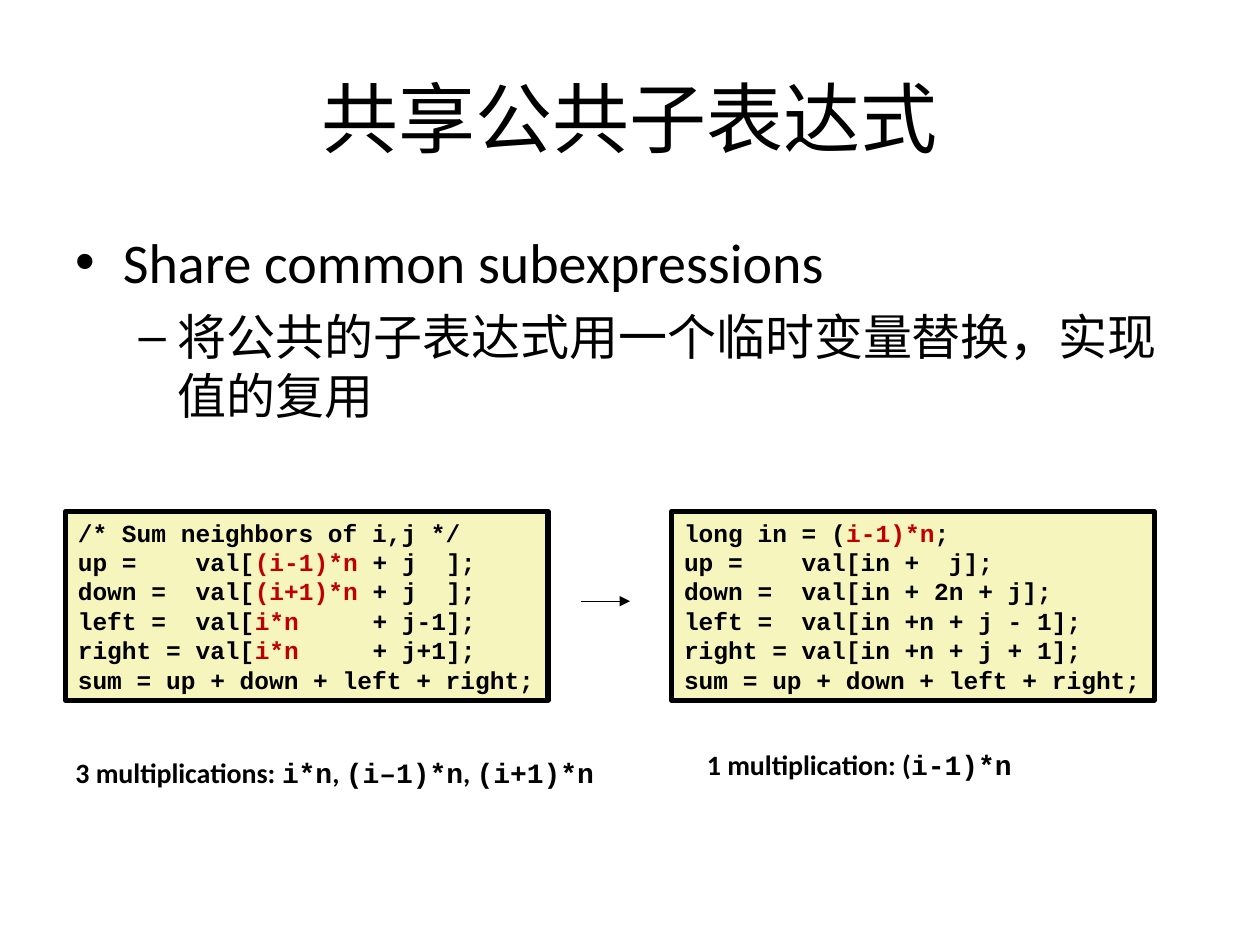
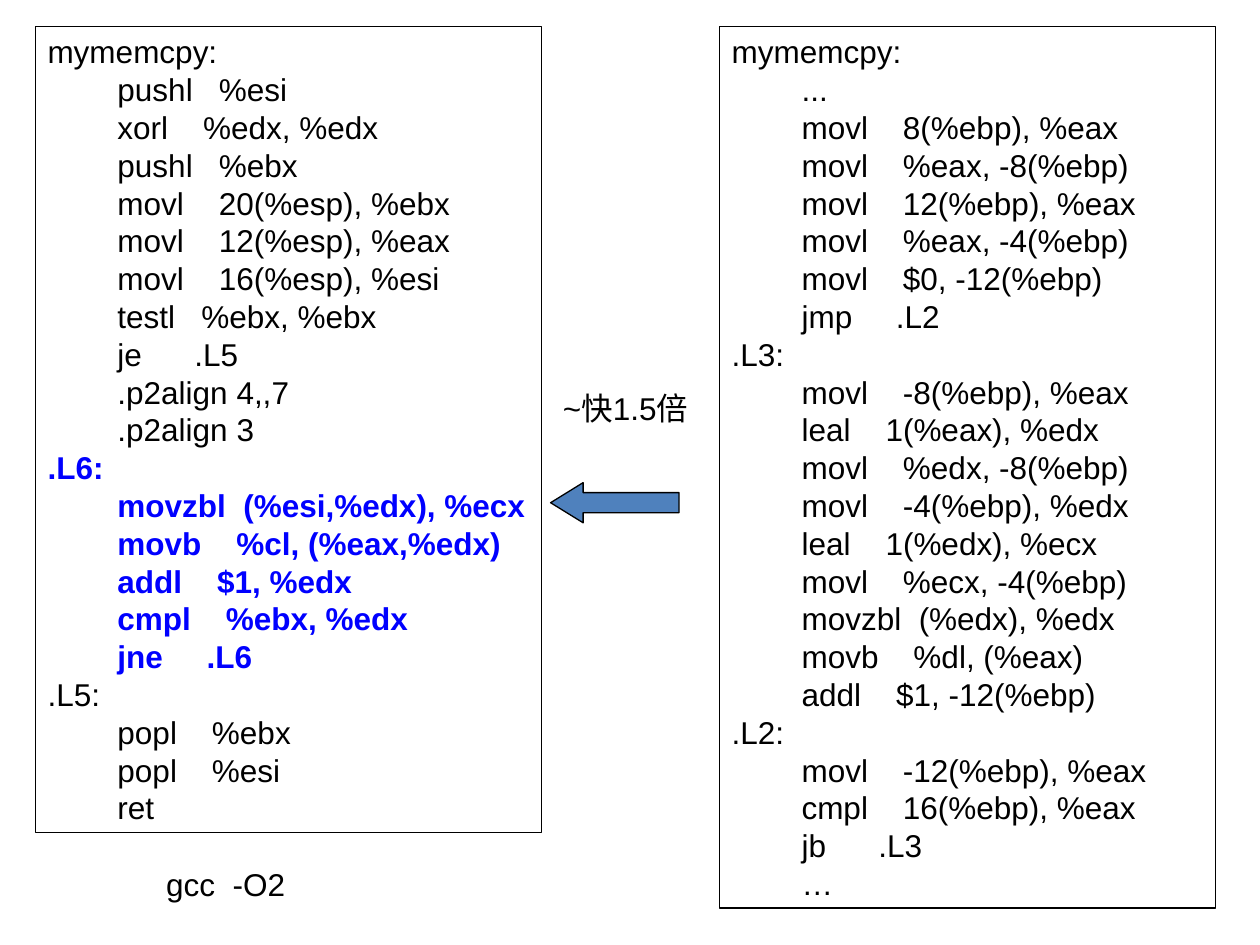
"""Build two slides on sharing common subexpressions and compiler optimisation."""
from lxml.etree import SubElement
from pptx import Presentation
from pptx.dml.color import RGBColor
from pptx.enum.shapes import MSO_CONNECTOR, MSO_SHAPE
from pptx.enum.text import MSO_ANCHOR, PP_ALIGN
from pptx.oxml.ns import qn
from pptx.util import Cm, Pt

BLACK, RED, BLUE = "000000", "C00000", "0000FF"
CREAM, STEEL = "F6F5BD", "4F81BD"
SANS, BODY, MONO = "Arial", "Calibri", "Courier New"
LEADING = 1.2

TITLE = "共享公共子表达式"
BULLETS = [
    ("Share common subexpressions", 0, 32, 0),
    ("将公共的子表达式用一个临时变量替换，实现值的复用", 1, 28, 7),
]
NEIGHBORS = [
    (1.32, """/* Sum neighbors of i,j */
up =    val[|(i-1)*n| + j  ];
down =  val[|(i+1)*n| + j  ];
left =  val[|i*n|     + j-1];
right = val[|i*n|     + j+1];
sum = up + down + left + right;"""),
    (13.54, """long in = (|i-1)*n|;
up =    val[in +  j];
down =  val[in + 2n + j];
left =  val[in +n + j - 1];
right = val[in +n + j + 1];
sum = up + down + left + right;"""),
]
CAPTIONS = [
    ("3 multiplications: |i*n|, |(i–1)*n|, |(i+1)*n|", (1.27, 15.11, 10.97, 0.91)),
    ("1 multiplication: (|i-1)*n|", (14, 14.94, 6.65, 0.91)),
]
HOT_LABEL = ".L6:"
ASSEMBLY = [
    (14.5, 10.01, """mymemcpy:
        ...
        movl    8(%ebp), %eax
        movl    %eax, -8(%ebp)
        movl    12(%ebp), %eax
        movl    %eax, -4(%ebp)
        movl    $0, -12(%ebp)
        jmp     .L2
.L3:
        movl    -8(%ebp), %eax
        leal    1(%eax), %edx
        movl    %edx, -8(%ebp)
        movl    -4(%ebp), %edx
        leal    1(%edx), %ecx
        movl    %ecx, -4(%ebp)
        movzbl  (%edx), %edx
        movb    %dl, (%eax)
        addl    $1, -12(%ebp)
.L2:
        movl    -12(%ebp), %eax
        cmpl    16(%ebp), %eax
        jb      .L3
        …"""),
    (0.71, 10.21, """mymemcpy:
        pushl   %esi
        xorl    %edx, %edx
        pushl   %ebx
        movl    20(%esp), %ebx
        movl    12(%esp), %eax
        movl    16(%esp), %esi
        testl   %ebx, %ebx
        je      .L5
        .p2align 4,,7
        .p2align 3
.L6:
        movzbl  (%esi,%edx), %ecx
        movb    %cl, (%eax,%edx)
        addl    $1, %edx
        cmpl    %ebx, %edx
        jne     .L6
.L5:
        popl    %ebx
        popl    %esi
        ret"""),
]
NOTES = [
    ("gcc  -O2", (3.1, 17.32, 5.21, 1.02)),
    ("~快1.5倍", (11.1, 7.72, 3.2, 1.78)),
]


def rgb(value):
    return RGBColor.from_string(value)


def place(shape, *box):
    shape.left, shape.top, shape.width, shape.height = map(Cm, box)


def set_font(font, name=None, size=None, color=None, bold=None):
    if name:
        font.name = name
    if size:
        font.size = Pt(size)
    if color:
        font.color.rgb = rgb(color)
    if bold is not None:
        font.bold = bold


def write(tf, lines, base, marked=None, leading=None):
    """Write one paragraph per line; parts between bars take the marked font."""
    for i, line in enumerate(lines):
        p = tf.paragraphs[0] if i == 0 else tf.add_paragraph()
        p.alignment = PP_ALIGN.LEFT
        if leading:
            p.line_spacing = Pt(leading)
        set_font(p.font, **base)
        for j, part in enumerate(line.split("|")):
            if part:
                r = p.add_run()
                r.text = part
                if j % 2:
                    set_font(r.font, **marked)


def add_text(s, lines, box, base, marked=None, wrap=True):
    tb = s.shapes.add_textbox(*map(Cm, box))
    tb.text_frame.word_wrap = wrap
    write(tb.text_frame, lines, base, marked)


def add_block(s, kind, box, fill, line_width):
    sp = s.shapes.add_shape(kind, *map(Cm, box))
    sp.shadow.inherit = False
    if fill:
        sp.fill.solid()
        sp.fill.fore_color.rgb = rgb(fill)
    else:
        sp.fill.background()
    sp.line.color.rgb = rgb(BLACK)
    sp.line.width = Pt(line_width)
    return sp


def add_code(s, lines, left, top, width, base, marked, fill, line_width, wrap):
    """Add a framed listing whose height follows from its line count."""
    leading = base["size"] * LEADING
    height = Pt(len(lines) * leading).cm + 0.25
    sp = add_block(s, MSO_SHAPE.RECTANGLE, (left, top, width, height), fill, line_width)
    tf = sp.text_frame
    tf.word_wrap = wrap
    tf.vertical_anchor = MSO_ANCHOR.TOP
    write(tf, lines, base, marked, leading)


def mark_hot(lines):
    """Put bars around the lines that belong to the hot label."""
    label, result = "", []
    for line in lines:
        if line.endswith(":"):
            label = line
        result.append(f"|{line}|" if label == HOT_LABEL else line)
    return result


def add_arrow(s, x1, x2, y):
    c = s.shapes.add_connector(MSO_CONNECTOR.STRAIGHT, Cm(x1), Cm(y), Cm(x2), Cm(y))
    c.line.color.rgb = rgb(BLACK)
    c.line.width = Pt(0.75)
    SubElement(c.line._get_or_add_ln(), qn("a:tailEnd"), type="triangle")
    SubElement(c._element.spPr, qn("a:effectLst"))


def build_sharing(prs):
    s = prs.slides.add_slide(prs.slide_layouts[1])
    title, body = s.placeholders
    place(title, 1.27, 0.76, 22.86, 3.18)
    title.text_frame.text = TITLE
    title.text_frame.vertical_anchor = MSO_ANCHOR.MIDDLE
    p = title.text_frame.paragraphs[0]
    p.alignment = PP_ALIGN.CENTER
    set_font(p.font, BODY, 44, BLACK)

    place(body, 1.27, 4.45, 22.86, 4.47)
    tf = body.text_frame
    for i, (text, level, size, before) in enumerate(BULLETS):
        p = tf.paragraphs[0] if i == 0 else tf.add_paragraph()
        p.text, p.level, p.space_before = text, level, Pt(before)
        set_font(p.font, BODY, size, BLACK)

    code = dict(name=MONO, size=14, color=BLACK, bold=True)
    for left, text in NEIGHBORS:
        add_code(s, text.splitlines(), left, 10.31, 9.73, code,
                 dict(color=RED), CREAM, 3, False)
    add_arrow(s, 11.71, 12.7, 12.12)
    caption = dict(name=BODY, size=16, color=BLACK, bold=True)
    for text, box in CAPTIONS:
        add_text(s, [text], box, caption, dict(name=MONO), False)


def build_assembly(prs):
    s = prs.slides.add_slide(prs.slide_layouts[6])
    base = dict(name=SANS, size=18, color=BLACK)
    for left, width, text in ASSEMBLY:
        add_code(s, mark_hot(text.splitlines()), left, 0.53, width, base,
                 dict(color=BLUE, bold=True), None, 0.75, True)
    for text, box in NOTES:
        add_text(s, [text], box, base)
    arrow = add_block(s, MSO_SHAPE.LEFT_ARROW, (11.1, 9.73, 2.59, 0.81), STEEL, 0.75)
    arrow.adjustments[1] = 0.81


def main():
    prs = Presentation()
    prs.slide_width, prs.slide_height = Cm(25.4), Cm(19.05)
    build_sharing(prs)
    build_assembly(prs)
    prs.save("out.pptx")


if __name__ == "__main__":
    main()
